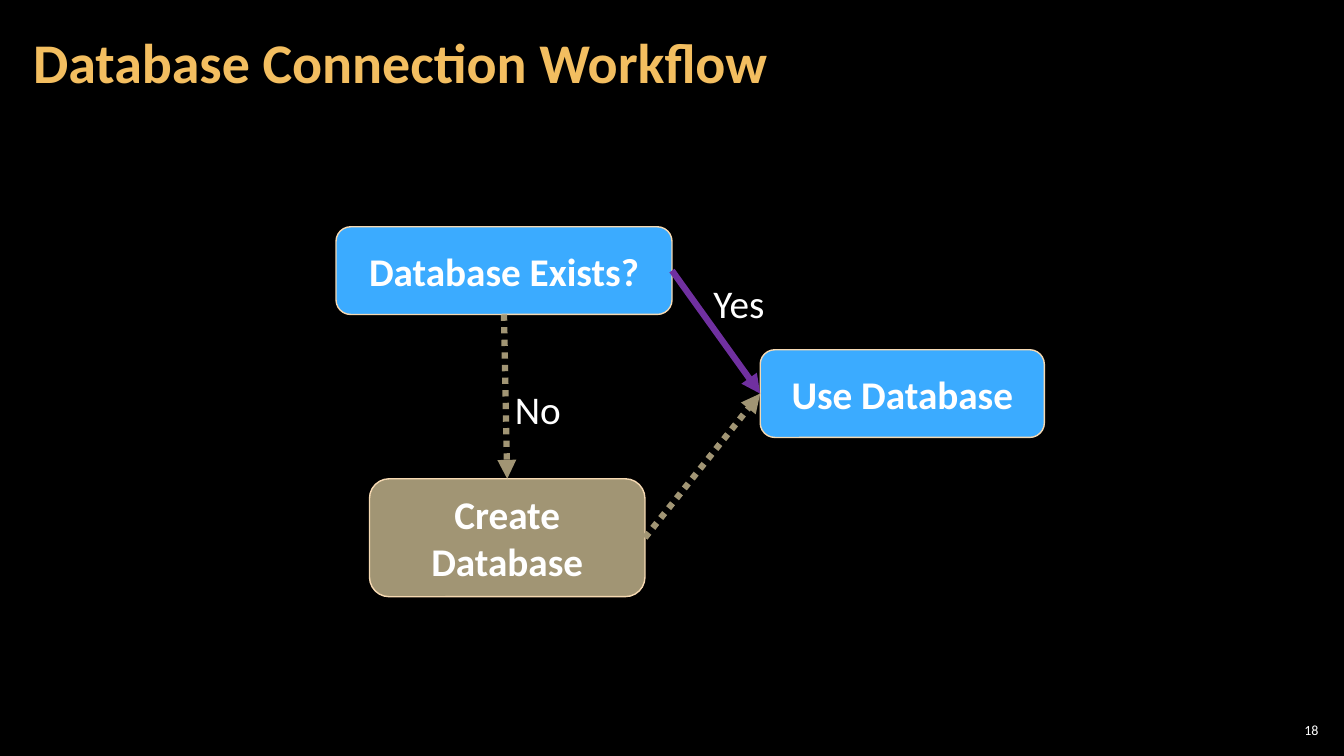
from dataclasses import dataclass

import lxml.etree
import pptx
import pptx.dml.color
import pptx.enum.dml
import pptx.enum.shapes
import pptx.enum.text
import pptx.oxml.ns
import pptx.shapes.autoshape
import pptx.shapes.connector
import pptx.slide
import pptx.text.text
import pptx.util

Pt = pptx.util.Pt
Align = pptx.enum.text.PP_ALIGN
Anchor = pptx.enum.text.MSO_ANCHOR
qn = pptx.oxml.ns.qn

TOP, LEFT, BOTTOM, RIGHT = range(4)


@dataclass(frozen=True)
class Theme:
    font: str = "Calibri"
    background: str = "000000"
    title: str = "F3BE60"
    text: str = "FFFFFF"
    existing: str = "3BABFF"
    missing: str = "A19574"
    outline: str = "F6D9B2"
    yes_path: str = "7030A0"
    title_size: float = 40
    body_size: float = 28
    number_size: float = 10
    outline_width: float = 1
    arrow_width: float = 4.5


THEME = Theme()


@dataclass(frozen=True)
class Box:
    left: float
    top: float
    width: float
    height: float


@dataclass(frozen=True)
class Step:
    text: str
    box: Box
    fill: str


@dataclass(frozen=True)
class Path:
    source: str
    source_side: int
    target: str
    target_side: int
    color: str
    dotted: bool = False


@dataclass(frozen=True)
class Label:
    text: str
    box: Box
    size: float = THEME.body_size
    color: str = THEME.text
    bold: bool = False
    align: Align = Align.LEFT
    anchor: Anchor = Anchor.TOP
    inset_x: float = 7.2
    inset_y: float = 3.6
    line_spacing: float = 1.0


STEPS = [
    Step("Database Exists?", Box(240, 162, 240, 62.64), THEME.existing),
    Step("Create Database", Box(263.9, 342, 196.8, 84.24), THEME.missing),
    Step("Use Database", Box(543, 249.84, 203, 62.64), THEME.existing),
]

PATHS = [
    Path("Database Exists?", BOTTOM, "Create Database", TOP, THEME.missing, dotted=True),
    Path("Database Exists?", RIGHT, "Use Database", LEFT, THEME.yes_path),
    Path("Create Database", RIGHT, "Use Database", LEFT, THEME.missing, dotted=True),
]

LABELS = [
    Label("Database Connection Workflow", Box(15, 2.9, 753.84, 87.12),
          size=THEME.title_size, color=THEME.title, bold=True,
          anchor=Anchor.MIDDLE, inset_x=8.64, inset_y=2.88, line_spacing=0.9),
    Label("No", Box(360.72, 271.44, 47.52, 41.04)),
    Label("Yes", Box(502.56, 195.84, 51.12, 41.04)),
    Label("18", Box(910.8, 514.08, 33.84, 15.12), size=THEME.number_size,
          align=Align.RIGHT, anchor=Anchor.MIDDLE, inset_x=2.88, inset_y=2.88),
]


def rgb(color: str) -> pptx.dml.color.RGBColor:
    return pptx.dml.color.RGBColor.from_string(color)


def write_text(frame: pptx.text.text.TextFrame, text: str, *, size: float,
               color: str, bold: bool = False, align: Align = Align.LEFT,
               anchor: Anchor = Anchor.TOP, inset_x: float = 7.2,
               inset_y: float = 3.6, line_spacing: float = 1.0) -> None:
    frame.word_wrap = True
    frame.vertical_anchor = anchor
    frame.margin_left = frame.margin_right = Pt(inset_x)
    frame.margin_top = frame.margin_bottom = Pt(inset_y)
    paragraph = frame.paragraphs[0]
    paragraph.alignment = align
    paragraph.line_spacing = line_spacing
    run = paragraph.add_run()
    run.text = text
    run.font.name = THEME.font
    run.font.size = Pt(size)
    run.font.bold = bold
    run.font.color.rgb = rgb(color)


def place(box: Box) -> tuple[int, int, int, int]:
    return Pt(box.left), Pt(box.top), Pt(box.width), Pt(box.height)


def draw_step(slide: pptx.slide.Slide, step: Step) -> pptx.shapes.autoshape.Shape:
    card = slide.shapes.add_shape(
        pptx.enum.shapes.MSO_SHAPE.ROUNDED_RECTANGLE, *place(step.box))
    card.shadow.inherit = False
    card.fill.solid()
    card.fill.fore_color.rgb = rgb(step.fill)
    card.line.color.rgb = rgb(THEME.outline)
    card.line.width = Pt(THEME.outline_width)
    write_text(card.text_frame, step.text, size=THEME.body_size, color=THEME.text,
               bold=True, align=Align.CENTER, anchor=Anchor.MIDDLE)
    return card


def draw_path(slide: pptx.slide.Slide, path: Path,
              cards: dict[str, pptx.shapes.autoshape.Shape]) -> None:
    arrow = slide.shapes.add_connector(
        pptx.enum.shapes.MSO_CONNECTOR.STRAIGHT, Pt(0), Pt(0), Pt(0), Pt(0))
    arrow.begin_connect(cards[path.source], path.source_side)
    arrow.end_connect(cards[path.target], path.target_side)
    arrow.line.color.rgb = rgb(path.color)
    arrow.line.width = Pt(THEME.arrow_width)
    if path.dotted:
        arrow.line.dash_style = pptx.enum.dml.MSO_LINE.ROUND_DOT
    properties = arrow.element.spPr
    lxml.etree.SubElement(properties.find(qn("a:ln")), qn("a:tailEnd"), type="triangle")
    lxml.etree.SubElement(properties, qn("a:effectLst"))


def draw_label(slide: pptx.slide.Slide, label: Label) -> None:
    frame = slide.shapes.add_textbox(*place(label.box)).text_frame
    write_text(frame, label.text, size=label.size, color=label.color,
               bold=label.bold, align=label.align, anchor=label.anchor,
               inset_x=label.inset_x, inset_y=label.inset_y,
               line_spacing=label.line_spacing)


def main() -> None:
    deck = pptx.Presentation()
    deck.slide_width, deck.slide_height = Pt(960), Pt(540)
    slide = deck.slides.add_slide(deck.slide_layouts[6])
    slide.background.fill.solid()
    slide.background.fill.fore_color.rgb = rgb(THEME.background)
    cards = {step.text: draw_step(slide, step) for step in STEPS}
    for path in PATHS:
        draw_path(slide, path, cards)
    for label in LABELS:
        draw_label(slide, label)
    deck.save("out.pptx")


if __name__ == "__main__":
    main()
